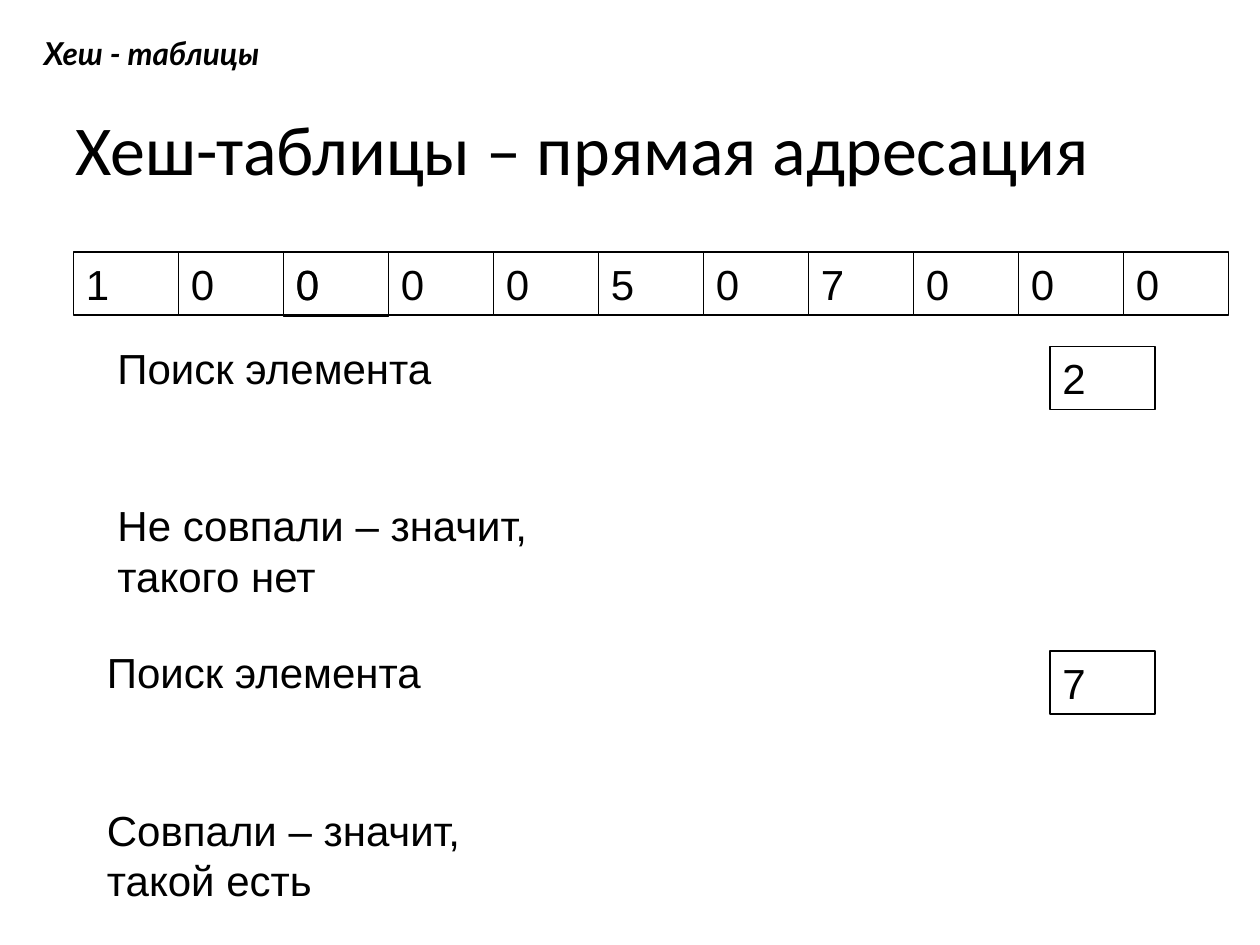
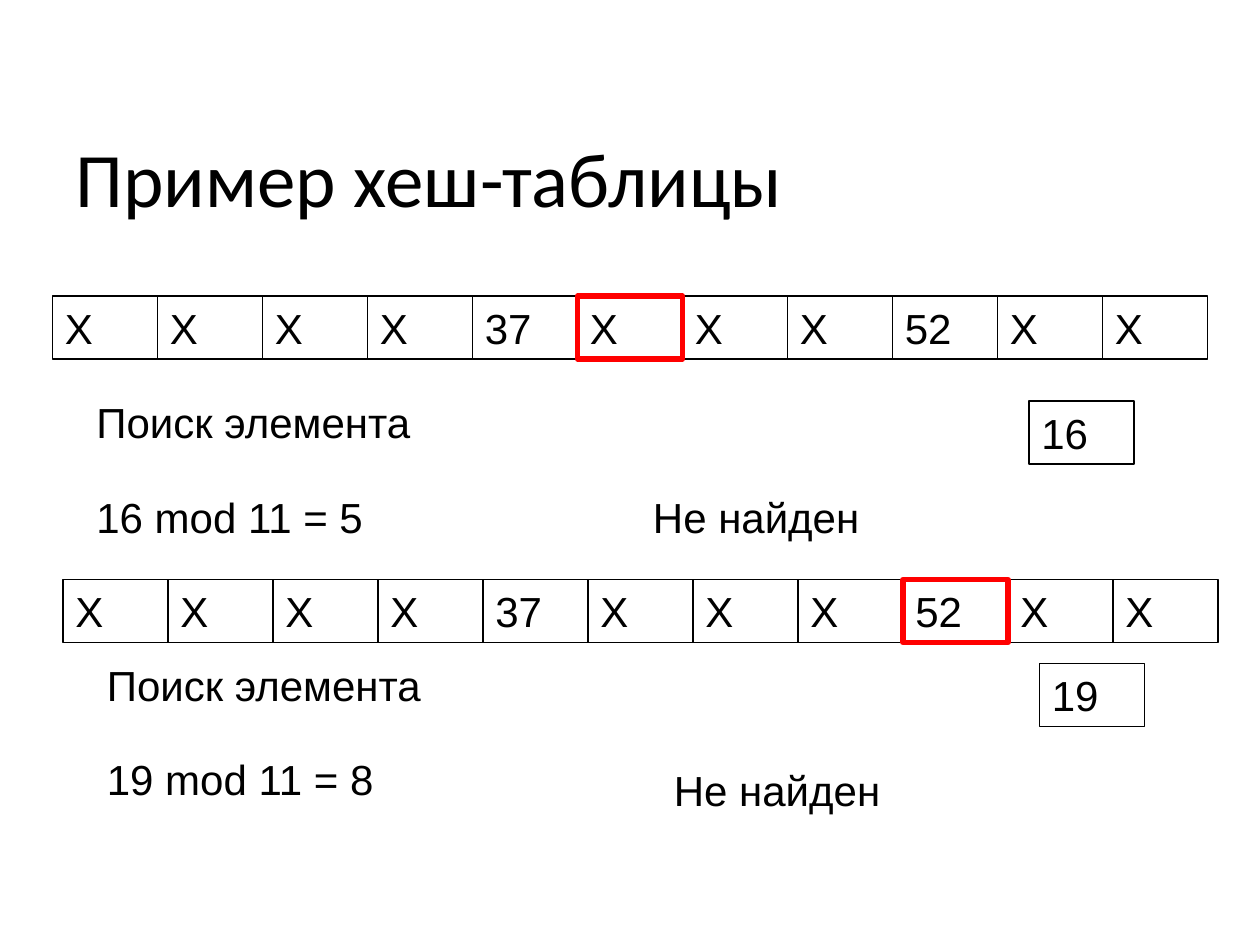
from lxml import etree
from pptx import Presentation
from pptx.dml.color import RGBColor
from pptx.enum.shapes import MSO_SHAPE
from pptx.enum.text import MSO_ANCHOR, MSO_AUTO_SIZE, PP_ALIGN
from pptx.util import Pt

RECTANGLE = MSO_SHAPE.RECTANGLE
LEFT, TOP = PP_ALIGN.LEFT, MSO_ANCHOR.TOP
NO_AUTOFIT = MSO_AUTO_SIZE.NONE

COLORS = {"ink": "000000", "found_cell": "FF0000"}
BODY_FONT = {"name": "Arial", "size": Pt(24)}
TITLE_FONT = {"name": "Calibri", "bold": False}
SECTION_FONT = {"name": "Lato", "size": Pt(18), "bold": True, "italic": True}

SLIDE_WIDTH, SLIDE_HEIGHT = 720, 540
CELL_WIDTH, CELL_HEIGHT = 60, 36
LABEL_WIDTH, LINE_HEIGHT = 276, 28.8
KEY_DROP = 6  # the searched key sits slightly below its label
TITLE_ONLY = 5

SEARCH_LABEL = "Поиск элемента"
HASH_CELLS = ["X", "X", "X", "X", "37", "X", "X", "X", "52", "X", "X"]

# Rows: left, top, cell values, index of the red cell.
# Searches: label left, label top, key left, key, notes.
# Notes: left, top below the search label, lines of text, text.
SLIDES = [
    {
        "section": "Хеш - таблицы",
        "title": ("Хеш-таблицы – прямая адресация", 62.4, 40),
        "rows": [(42, 144, ["1", "0", "0", "0", "0", "5", "0", "7", "0", "0", "0"], None)],
        "searches": [
            (60, 192, 600, "2", [(60, 90, 2, "Не совпали – значит, такого нет")]),
            (54, 366, 600, "7", [(54, 90, 2, "Совпали – значит, такой есть")]),
        ],
        "compared_cell": (162, 144, "0"),
    },
    {
        "title": ("Пример хеш-таблицы", 77, 44),
        "rows": [(30, 169.2, HASH_CELLS, 5), (36, 331.2, HASH_CELLS, 8)],
        "searches": [
            (48, 223.2, 588, "16", [(48, 54, 1, "16 mod 11 = 5"), (366, 54, 1, "Не найден")]),
            (54, 373.2, 594, "19", [(54, 54, 1, "19 mod 11 = 8"), (378, 60, 1, "Не найден")]),
        ],
    },
]


def write_text(shape, text, font_format, line_spacing=None):
    frame = shape.text_frame
    frame_format = {"word_wrap": True, "auto_size": NO_AUTOFIT, "vertical_anchor": TOP}
    for name, value in frame_format.items():
        setattr(frame, name, value)
    paragraph = frame.paragraphs[0]
    paragraph.alignment = LEFT
    paragraph.line_spacing = line_spacing
    run = paragraph.add_run()
    run.text = text
    for name, value in font_format.items():
        setattr(run.font, name, value)
    run.font.color.rgb = RGBColor.from_string(COLORS["ink"])


def add_label(slide, left, top, width, height, text, font_format=BODY_FONT):
    box = slide.shapes.add_textbox(Pt(left), Pt(top), Pt(width), Pt(height))
    write_text(box, text, font_format)


def add_cell(shapes, left, top, text="", color="ink", line_width=0.75, height=CELL_HEIGHT):
    cell = shapes.add_shape(RECTANGLE, Pt(left), Pt(top), Pt(CELL_WIDTH), Pt(height))
    cell.shadow.inherit = False
    cell.fill.background()
    cell.line.color.rgb = RGBColor.from_string(COLORS[color])
    cell.line.width = Pt(line_width)
    if text:
        write_text(cell, text, BODY_FONT)


def add_title(slide, text, top, size):
    title = slide.shapes.title
    place = {"left": 36, "top": top, "width": 648, "height": 90}
    for name, value in place.items():
        setattr(title, name, Pt(value))
    write_text(title, text, {**TITLE_FONT, "size": Pt(size)}, line_spacing=0.9)


def add_row(slide, left, top, values, red_index):
    group = slide.shapes.add_group_shape()
    for index, value in enumerate(values):
        add_cell(group.shapes, left + index * CELL_WIDTH, top, value)
    if red_index is not None:
        add_cell(slide.shapes, left + red_index * CELL_WIDTH, top,
                 color="found_cell", line_width=3)


def add_search(slide, left, top, key_left, key, notes):
    add_label(slide, left, top, LABEL_WIDTH, CELL_HEIGHT, SEARCH_LABEL)
    add_cell(slide.shapes, key_left, top + KEY_DROP, key)
    for note_left, drop, lines, text in notes:
        height = CELL_HEIGHT + (lines - 1) * LINE_HEIGHT
        add_label(slide, note_left, top + drop, LABEL_WIDTH, height, text)


def main():
    presentation = Presentation()
    presentation.slide_width = Pt(SLIDE_WIDTH)
    presentation.slide_height = Pt(SLIDE_HEIGHT)
    for content in SLIDES:
        slide = presentation.slides.add_slide(presentation.slide_layouts[TITLE_ONLY])
        add_title(slide, *content["title"])
        if "section" in content:
            add_label(slide, 18, 15.8, 456.5, 28.8, content["section"], SECTION_FONT)
        for row in content["rows"]:
            add_row(slide, *row)
        for search in content["searches"]:
            add_search(slide, *search)
        if "compared_cell" in content:
            add_cell(slide.shapes, *content["compared_cell"], height=36.7)
    presentation.save("out.pptx")


if __name__ == "__main__":
    main()
